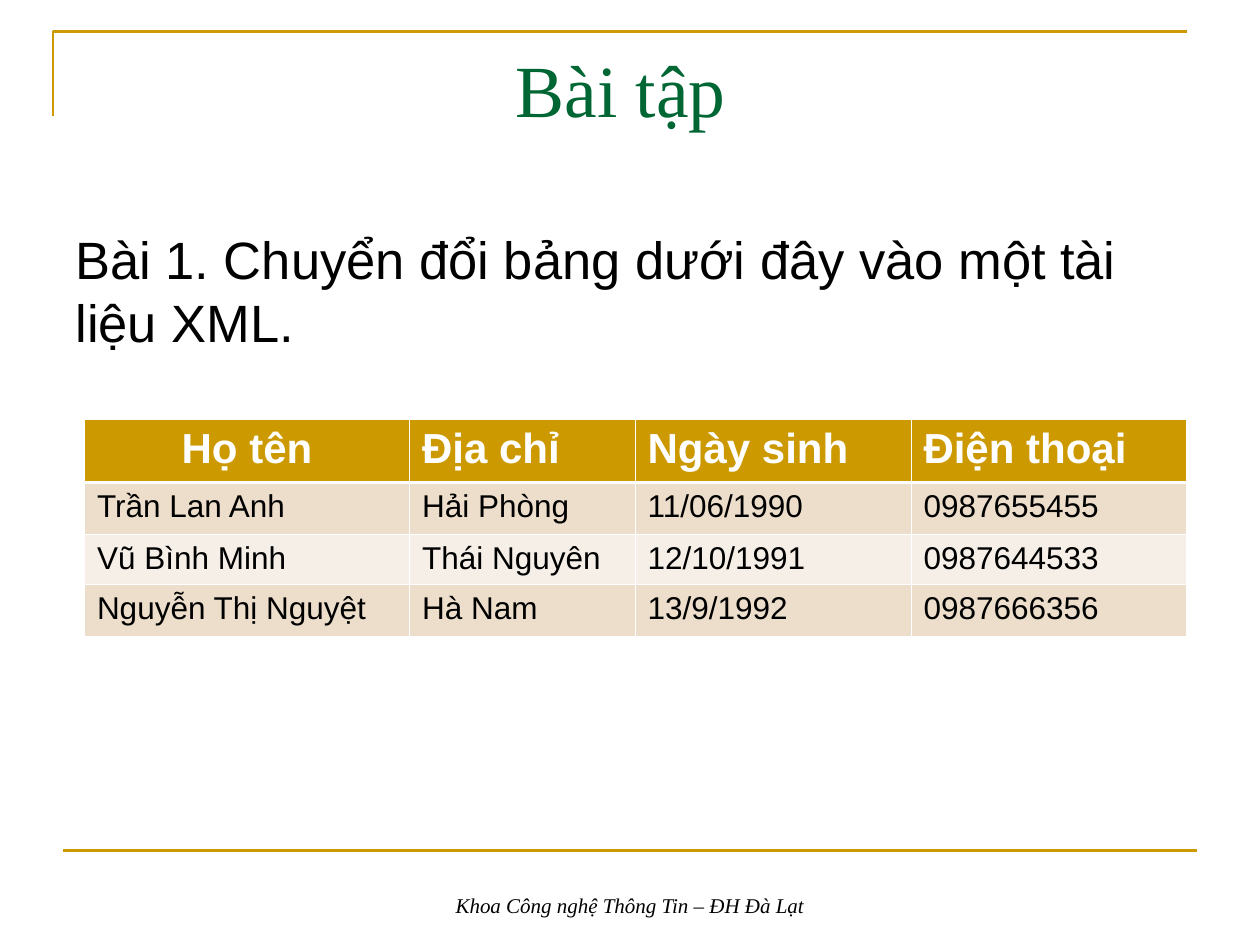
"""Build the exercise slide: title, task text, contact table and footer."""
from lxml import etree
from pptx import Presentation
from pptx import util as u
from pptx.dml.color import RGBColor
from pptx.enum import shapes, text
from pptx.oxml import ns

GOLD, GREEN, BLACK, WHITE = "CC9900", "006633", "000000", "FFFFFF"
BANDS = ["ECDECB", "F6EFE7"]
LEFT, CENTER = text.PP_ALIGN.LEFT, text.PP_ALIGN.CENTER


def paint(color_format, color):
    """Give a font, line or fill its colour from a hex string."""
    color_format.rgb = RGBColor.from_string(color)


def write(frame, words, font, size, color, align=LEFT, bold=False, italic=False):
    """Put one formatted paragraph into a text frame."""
    frame.text = words
    para = frame.paragraphs[0]
    para.alignment = align
    span = para.runs[0]
    span.font.name, span.font.size = font, u.Pt(size)
    span.font.bold, span.font.italic = bold, italic
    paint(span.font.color, color)


deck = Presentation()
deck.slide_width, deck.slide_height = u.Inches(10), u.Inches(7.5)
page = deck.slides.add_slide(deck.slide_layouts[5])
margin = u.Inches(0.5)
content_width = deck.slide_width - 2 * margin

corner_left, corner_top = u.Inches(0.42), u.Inches(0.25)
outline = page.shapes.build_freeform(corner_left, corner_top + u.Inches(0.67))
outline.add_line_segments(
    [(corner_left, corner_top), (corner_left + content_width, corner_top)], close=False)
corner = outline.convert_to_shape()
corner.shadow.inherit = False
corner.fill.background()

rule_top = int(deck.slide_height * 0.9)
rule = page.shapes.add_connector(
    shapes.MSO_CONNECTOR.STRAIGHT, margin, rule_top, margin + content_width, rule_top)
etree.SubElement(rule._element.spPr, ns.qn("a:effectLst"))
for stroke in (corner, rule):
    stroke.line.width = u.Pt(1.5)
    paint(stroke.line.color, GOLD)

title = page.shapes.title
title.left, title.top = margin, u.Inches(0.3)
title.width, title.height = content_width, u.Inches(1.25)
title.text_frame.vertical_anchor = text.MSO_ANCHOR.TOP
write(title.text_frame, "Bài tập ", "Times New Roman", 42, GREEN, CENTER)

task = page.shapes.add_textbox(margin, u.Inches(1.75), content_width, u.Inches(4.95))
task.text_frame.word_wrap = True
write(task.text_frame, "Bài 1. Chuyển đổi bảng dưới đây vào một tài liệu XML.", "Arial", 30, BLACK)
task.text_frame.paragraphs[0].space_before = u.Pt(7.5)

footer_width = u.Inches(3.17)
footer = page.shapes.add_textbox(
    (deck.slide_width - footer_width) // 2, u.Inches(6.83), footer_width, u.Inches(0.5))
footer.text_frame.word_wrap = True
footer.text_frame.vertical_anchor = text.MSO_ANCHOR.BOTTOM
write(footer.text_frame, "Khoa Công nghệ Thông Tin – ĐH Đà Lạt", "Times New Roman", 12, BLACK,
      CENTER, italic=True)

contacts = [
    ["Họ tên", "Địa chỉ", "Ngày sinh", "Điện thoại"],
    ["Trần Lan Anh", "Hải Phòng", "11/06/1990", "0987655455"],
    ["Vũ Bình Minh", "Thái Nguyên", "12/10/1991", "0987644533"],
    ["Nguyễn Thị Nguyệt", "Hà Nam", "13/9/1992", "0987666356"],
]
column_widths = [2.58, 1.79, 2.19, 2.19]
row_heights = [0.5, 0.41, 0.4, 0.41]
table = page.shapes.add_table(
    len(contacts), len(column_widths), u.Inches(0.67), u.Inches(3.33),
    u.Inches(sum(column_widths)), u.Inches(sum(row_heights))).table
for column, width in zip(table.columns, column_widths):
    column.width = u.Inches(width)
for row, height in zip(table.rows, row_heights):
    row.height = u.Inches(height)

for r, contact in enumerate(contacts):
    header = r == 0
    for c, words in enumerate(contact):
        cell = table.cell(r, c)
        properties = cell._tc.get_or_add_tcPr()
        for side in ("lnL", "lnR", "lnT", "lnB"):
            under_header = (r, side) in ((0, "lnB"), (1, "lnT"))
            border = etree.SubElement(properties, ns.qn(f"a:{side}"),
                                      w=str(u.Pt(1.47 if under_header else 0.45)))
            solid = etree.SubElement(border, ns.qn("a:solidFill"))
            etree.SubElement(solid, ns.qn("a:srgbClr"), val=WHITE)
        cell.fill.solid()
        paint(cell.fill.fore_color, GOLD if header else BANDS[(r - 1) % 2])
        write(cell.text_frame, words, "Arial", 24 if header else 18, WHITE if header else BLACK,
              CENTER if header and c == 0 else LEFT, bold=header)

deck.save("out.pptx")
